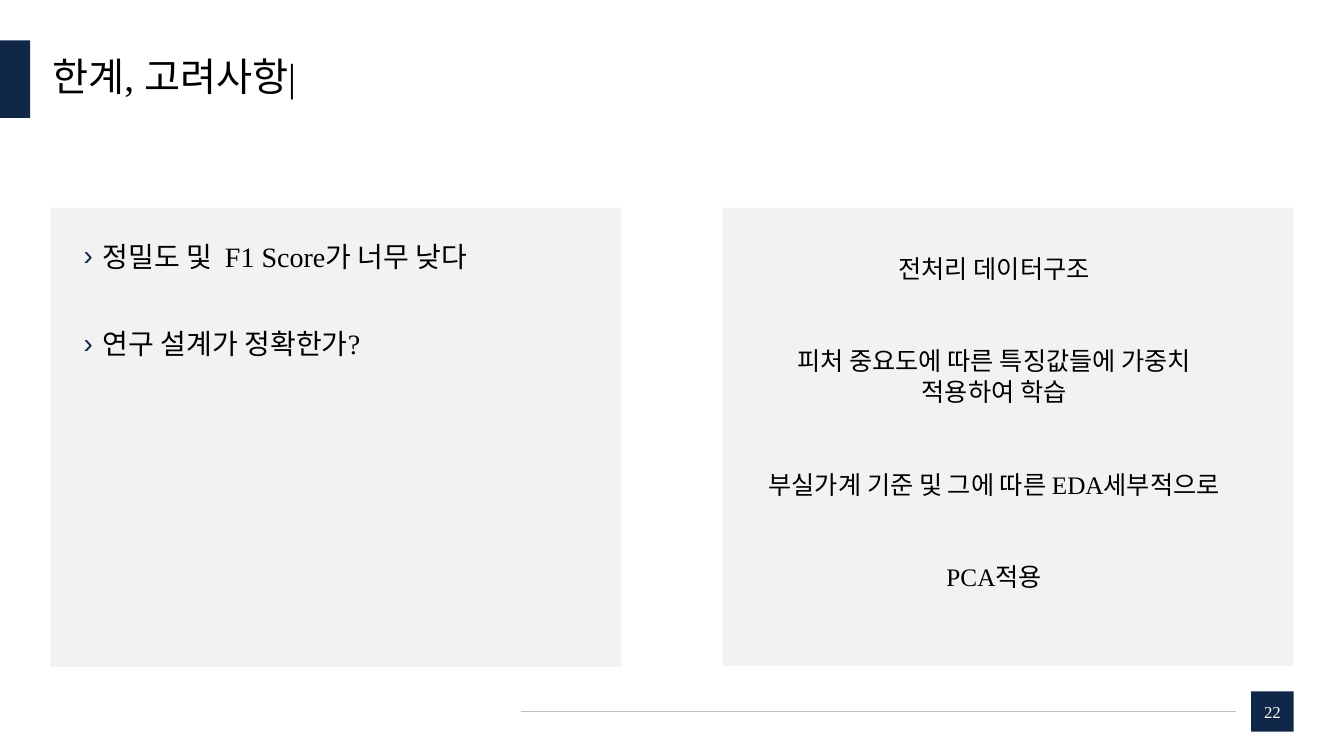
from pptx import Presentation
from pptx.dml.color import RGBColor
from pptx.enum.shapes import MSO_CONNECTOR, MSO_SHAPE
from pptx.enum.text import MSO_ANCHOR, MSO_AUTO_SIZE, PP_ALIGN
from pptx.oxml.ns import qn
from pptx.util import Inches, Pt
from lxml.etree import SubElement

FONT = "Times New Roman"
NAVY, GRAY, RULE = "102747", "F2F2F2", "BFBFBF"
BLACK, WHITE = "000000", "FFFFFF"


def color(code):
    return RGBColor.from_string(code)


def block(slide, box, fill):
    shape = slide.shapes.add_shape(MSO_SHAPE.RECTANGLE, *map(Inches, box))
    shape.shadow.inherit = False
    shape.fill.solid()
    shape.fill.fore_color.rgb = color(fill)
    shape.line.fill.background()
    return shape


def write(para, text, size, code=BLACK, align=PP_ALIGN.LEFT):
    para.alignment = align
    run = para.add_run()
    run.text = text
    run.font.name = FONT
    run.font.size = Pt(size)
    run.font.color.rgb = color(code)


def setup(frame, anchor=MSO_ANCHOR.TOP):
    frame.word_wrap = True
    frame.auto_size = MSO_AUTO_SIZE.NONE
    frame.vertical_anchor = anchor
    frame.margin_left = frame.margin_right = 0
    frame.margin_top = frame.margin_bottom = 0


def lines(slide, box, texts):
    """Add a text box and yield one paragraph per text."""
    frame = slide.shapes.add_textbox(*map(Inches, box)).text_frame
    setup(frame)
    for i, text in enumerate(texts):
        yield (frame.add_paragraph() if i else frame.paragraphs[0]), text


def bullet(para):
    props = para._p.get_or_add_pPr()
    props.set("marL", str(Inches(0.19)))
    props.set("indent", str(-Inches(0.19)))
    tint = SubElement(props, qn("a:buClr"))
    SubElement(tint, qn("a:srgbClr"), val=NAVY)
    SubElement(props, qn("a:buFont"), typeface="Arial")
    SubElement(props, qn("a:buChar"), char="›")


# Title with the accent block on the slide's edge
def header(slide, box, text):
    x, y, w, h = box
    block(slide, (x, y, 0.3, h), NAVY)
    title = slide.shapes.title
    title.left, title.top = Inches(x + 0.52), Inches(y)
    title.width, title.height = Inches(w - 1.02), Inches(h)
    setup(title.text_frame, MSO_ANCHOR.MIDDLE)
    para = title.text_frame.paragraphs[0]
    para.line_spacing = 0.9
    write(para, text, 28)


# Left panel: bulleted limits
def limits(slide, box, texts):
    x, y, w, h = box
    block(slide, box, GRAY)
    for para, text in lines(slide, (x + 0.33, y + 0.35, 4.82, 2.08), texts):
        para.line_spacing = 0.9
        para.space_before = Pt(40.7)
        bullet(para)
        write(para, text, 20)


# Right panel: centred points to consider
def points(slide, box, texts):
    x, y, w, h = box
    block(slide, box, GRAY)
    for para, text in lines(slide, (x + 0.28, y + 0.45, 4.82, 3.76), texts):
        para.space_after = Pt(44.7)
        write(para, text, 18, align=PP_ALIGN.CENTER)


# Footer: rule and page number
def footer(slide, box, page):
    x, y, w, h = box
    side = 0.42
    mid = Inches(y + h / 2)
    rule = slide.shapes.add_connector(
        MSO_CONNECTOR.STRAIGHT, Inches(x), mid, Inches(x + w - side - 0.15), mid)
    rule.line.color.rgb = color(RULE)
    rule.line.width = Pt(0.5)
    SubElement(rule._element.spPr, qn("a:effectLst"))
    badge = block(slide, (x + w - side, y, side, h), NAVY)
    setup(badge.text_frame, MSO_ANCHOR.MIDDLE)
    write(badge.text_frame.paragraphs[0], page, 12, WHITE, PP_ALIGN.CENTER)


def main():
    deck = Presentation()
    deck.slide_width, deck.slide_height = Inches(13.33), Inches(7.5)
    slide = deck.slides.add_slide(deck.slide_layouts[5])
    header(slide, (0, 0.4, 13.33, 0.77), "한계, 고려사항|")
    limits(slide, (0.5, 2.06, 5.66, 4.56), [
        "정밀도 및  F1 Score가 너무 낮다",
        "연구 설계가 정확한가?",
    ])
    points(slide, (7.17, 2.06, 5.66, 4.55), [
        "전처리 데이터구조",
        "피처 중요도에 따른 특징값들에 가중치 적용하여 학습",
        "부실가계 기준 및 그에 따른 EDA세부적으로",
        "PCA적용",
    ])
    footer(slide, (5.17, 6.86, 7.66, 0.4), "22")
    deck.save("out.pptx")


if __name__ == "__main__":
    main()
